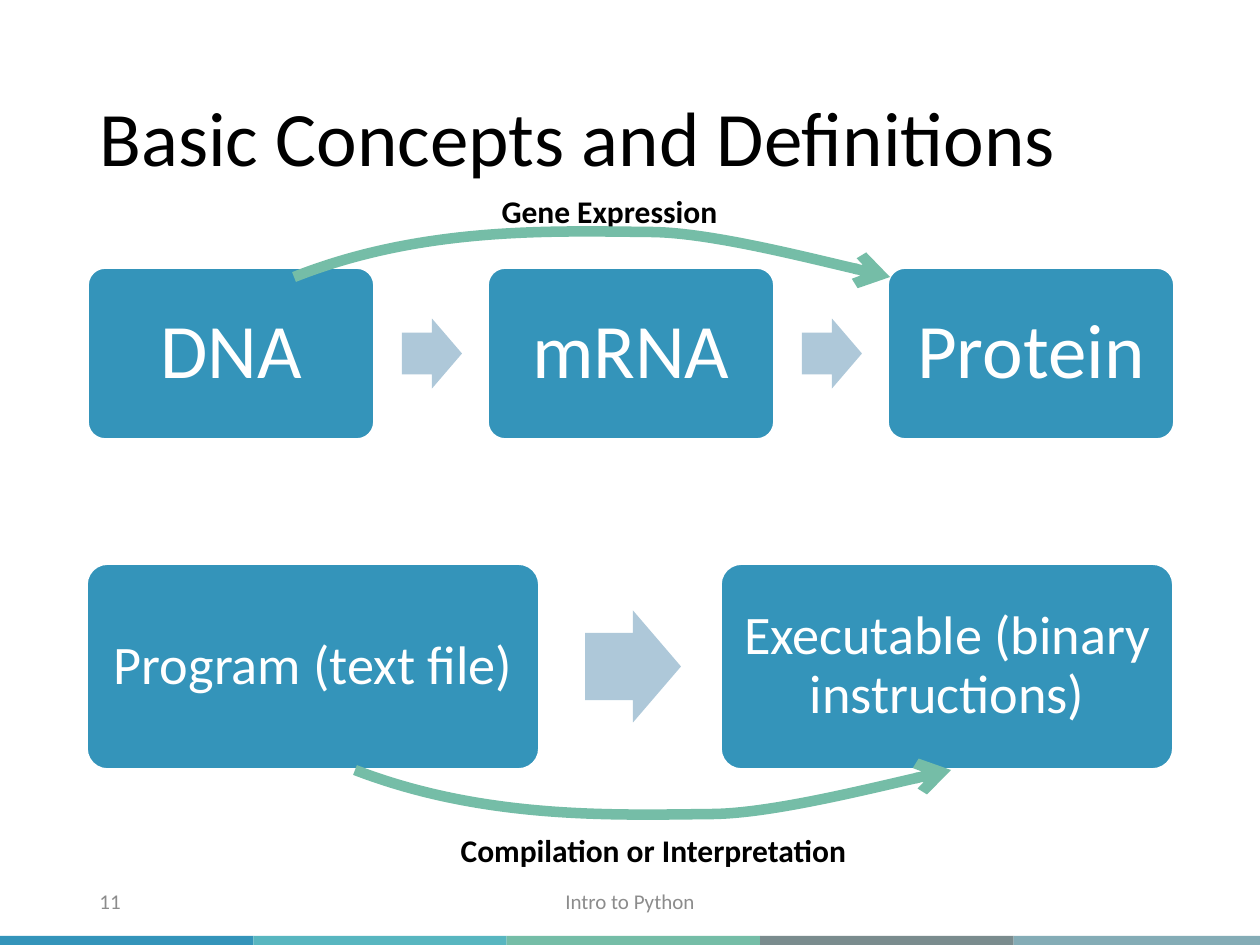
from dataclasses import dataclass

from lxml.etree import SubElement
from pptx import Presentation
from pptx.dml.color import RGBColor
from pptx.enum.shapes import MSO_SHAPE
from pptx.enum.text import MSO_ANCHOR, PP_ALIGN
from pptx.oxml.ns import qn
from pptx.util import Emu, Pt

EMU_PER_PX = 914400 / 126
FONT = "Calibri"
COLORS = {
    "blue": "3494BA",
    "teal": "58B6C0",
    "green": "75BDA7",
    "gray": "7A8C8E",
    "mist": "84ACB6",
    "arrow": "AEC8D9",
    "footer": "8C8C8C",
    "black": "000000",
    "white": "FFFFFF",
}
STRIPES = ("blue", "teal", "green", "gray", "mist")
Point = tuple[int, int]


@dataclass
class Label:
    text: str
    left: int
    top: int
    width: int
    height: int
    size: int
    color: str = "black"
    align: PP_ALIGN = PP_ALIGN.CENTER
    anchor: MSO_ANCHOR = MSO_ANCHOR.MIDDLE
    bold: bool = False
    wrap: bool = True
    spacing: float = 1.0


@dataclass
class ProcessRow:
    steps: tuple[str, ...]
    left: int
    top: int
    width: int
    height: int
    pitch: int
    size: int
    inset: int
    arrow_offset: int
    arrow_width: int
    arrow_height: int


@dataclass
class CurvedArrow:
    """Two Bezier segments, each given as two controls and an end point."""
    start: Point
    segments: tuple[tuple[Point, Point, Point], ...]


LABELS = (
    Label("Basic Concepts and Definitions", 87, 50, 1086, 183, 44,
          align=PP_ALIGN.LEFT, spacing=0.9),
    Label("Intro to Python", 417, 876, 426, 50, 12, "footer"),
    Label("11", 87, 876, 284, 50, 12, "footer", PP_ALIGN.LEFT),
    Label("Gene Expression", 488, 186, 243, 50, 18,
          anchor=MSO_ANCHOR.TOP, bold=True, wrap=False),
    Label("Compilation or Interpretation", 446, 825, 415, 50, 18,
          anchor=MSO_ANCHOR.TOP, bold=True, wrap=False),
)
ROWS = (
    ProcessRow(("DNA", "mRNA", "Protein"), 88, 268, 286, 171, 400, 44, 23, 314, 60, 70),
    ProcessRow(("Program (text file)", "Executable (binary instructions)"),
               87, 564, 452, 205, 634, 31, 16, 498, 96, 112),
)
CURVES = (
    CurvedArrow((294, 277), (((423, 226), (553, 231), (653, 232)),
                             ((711, 233), (890, 277), (890, 277)))),
    CurvedArrow((355, 770), (((485, 820), (615, 815), (714, 814)),
                             ((772, 813), (951, 770), (951, 770)))),
)


def px(value: float) -> Emu:
    return Emu(round(value * EMU_PER_PX))


def rgb(name: str) -> RGBColor:
    return RGBColor.from_string(COLORS[name])


def write(shape, text: str, size: int, color: str, align: PP_ALIGN,
          spacing: float = 1.0, bold: bool = False) -> None:
    paragraph = shape.text_frame.paragraphs[0]
    paragraph.text = text
    paragraph.alignment = align
    paragraph.line_spacing = spacing
    paragraph.font.name = FONT
    paragraph.font.size = Pt(size)
    paragraph.font.bold = bold
    paragraph.font.color.rgb = rgb(color)


def add_label(slide, label: Label) -> None:
    box = slide.shapes.add_textbox(px(label.left), px(label.top),
                                   px(label.width), px(label.height))
    box.text_frame.word_wrap = label.wrap
    box.text_frame.vertical_anchor = label.anchor
    write(box, label.text, label.size, label.color, label.align, label.spacing, label.bold)


def add_block(slide, kind: MSO_SHAPE, left: float, top: float,
              width: float, height: float, fill: str):
    block = slide.shapes.add_shape(kind, px(left), px(top), px(width), px(height))
    block.shadow.inherit = False
    block.fill.solid()
    block.fill.fore_color.rgb = rgb(fill)
    block.line.fill.background()
    return block


def add_step(slide, row: ProcessRow, left: int, text: str) -> None:
    step = add_block(slide, MSO_SHAPE.ROUNDED_RECTANGLE, left, row.top,
                     row.width, row.height, "blue")
    step.adjustments[0] = 0.1
    step.line.color.rgb = rgb("white")
    step.line.width = Pt(1)
    frame = step.text_frame
    frame.word_wrap = True
    frame.vertical_anchor = MSO_ANCHOR.MIDDLE
    frame.margin_left = frame.margin_right = px(row.inset)
    frame.margin_top = frame.margin_bottom = px(row.inset)
    write(step, text, row.size, "white", PP_ALIGN.CENTER, 0.9)


def add_row(slide, row: ProcessRow) -> None:
    for index, text in enumerate(row.steps):
        left = row.left + index * row.pitch
        add_step(slide, row, left, text)
        if index < len(row.steps) - 1:
            arrow = add_block(slide, MSO_SHAPE.RIGHT_ARROW, left + row.arrow_offset,
                              row.top + (row.height - row.arrow_height) / 2,
                              row.arrow_width, row.arrow_height, "arrow")
            arrow.adjustments[0] = 0.6
            arrow.adjustments[1] = 0.5


def add_curve(slide, curve: CurvedArrow) -> None:
    """Build the outline from its anchors, then bend each segment with its controls."""
    anchors = [segment[-1] for segment in curve.segments]
    builder = slide.shapes.build_freeform(*curve.start, scale=EMU_PER_PX)
    builder.add_line_segments(anchors, close=False)
    shape = builder.convert_to_shape()
    shape.shadow.inherit = False
    shape.fill.background()
    shape.line.color.rgb = rgb("green")
    shape.line.width = Pt(6)

    left = min(x for x, _ in [curve.start, *anchors])
    top = min(y for _, y in [curve.start, *anchors])
    lines = list(shape.element.iter(qn("a:lnTo")))
    for line, (first, second, _) in zip(lines, curve.segments):
        line.tag = qn("a:cubicBezTo")
        for position, (x, y) in enumerate((first, second)):
            control = SubElement(line, qn("a:pt"), x=str(x - left), y=str(y - top))
            line.insert(position, control)
    SubElement(shape.line._get_or_add_ln(), qn("a:tailEnd"), type="arrow")


def main() -> None:
    deck = Presentation()
    deck.slide_width, deck.slide_height = px(1260), px(945)
    slide = deck.slides.add_slide(deck.slide_layouts[6])
    for index, color in enumerate(STRIPES):
        add_block(slide, MSO_SHAPE.RECTANGLE, index * 253.4, 936, 253.4, 12, color)
    for row in ROWS:
        add_row(slide, row)
    for label in LABELS:
        add_label(slide, label)
    for curve in CURVES:
        add_curve(slide, curve)
    deck.save("out.pptx")


if __name__ == "__main__":
    main()
